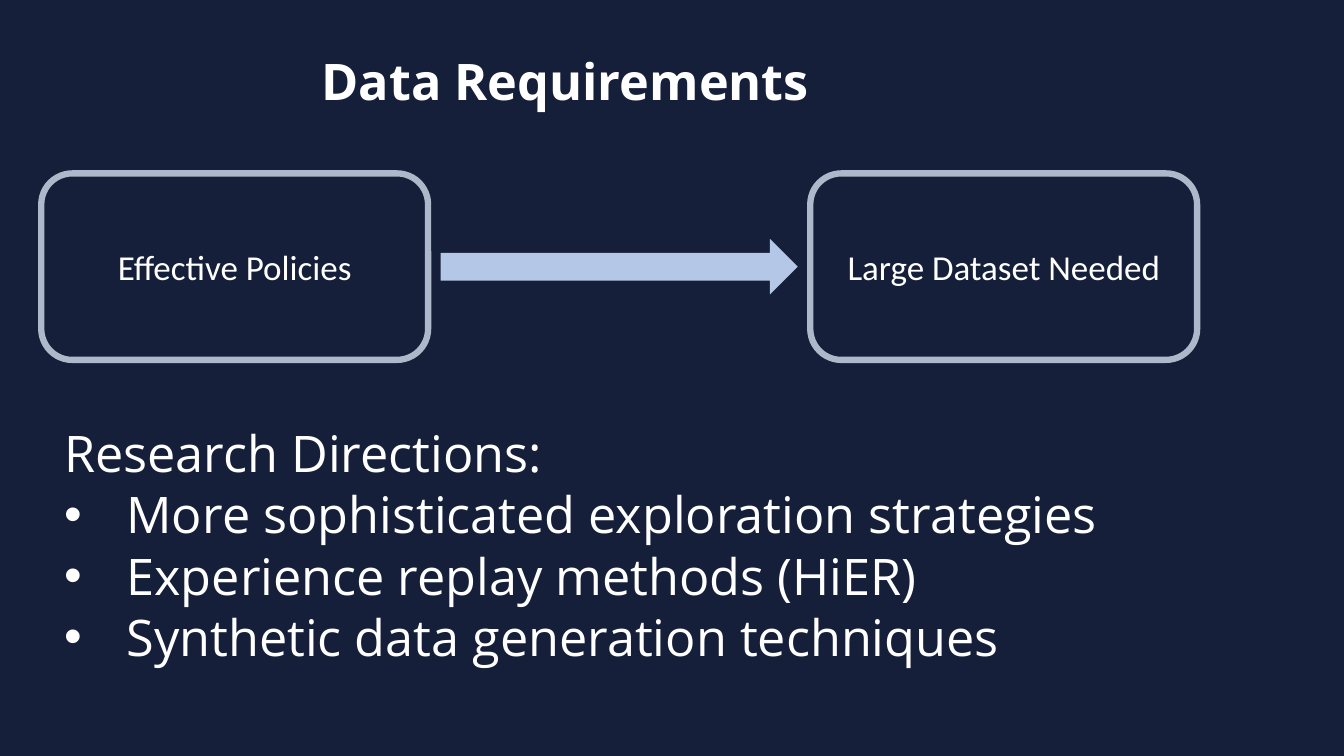
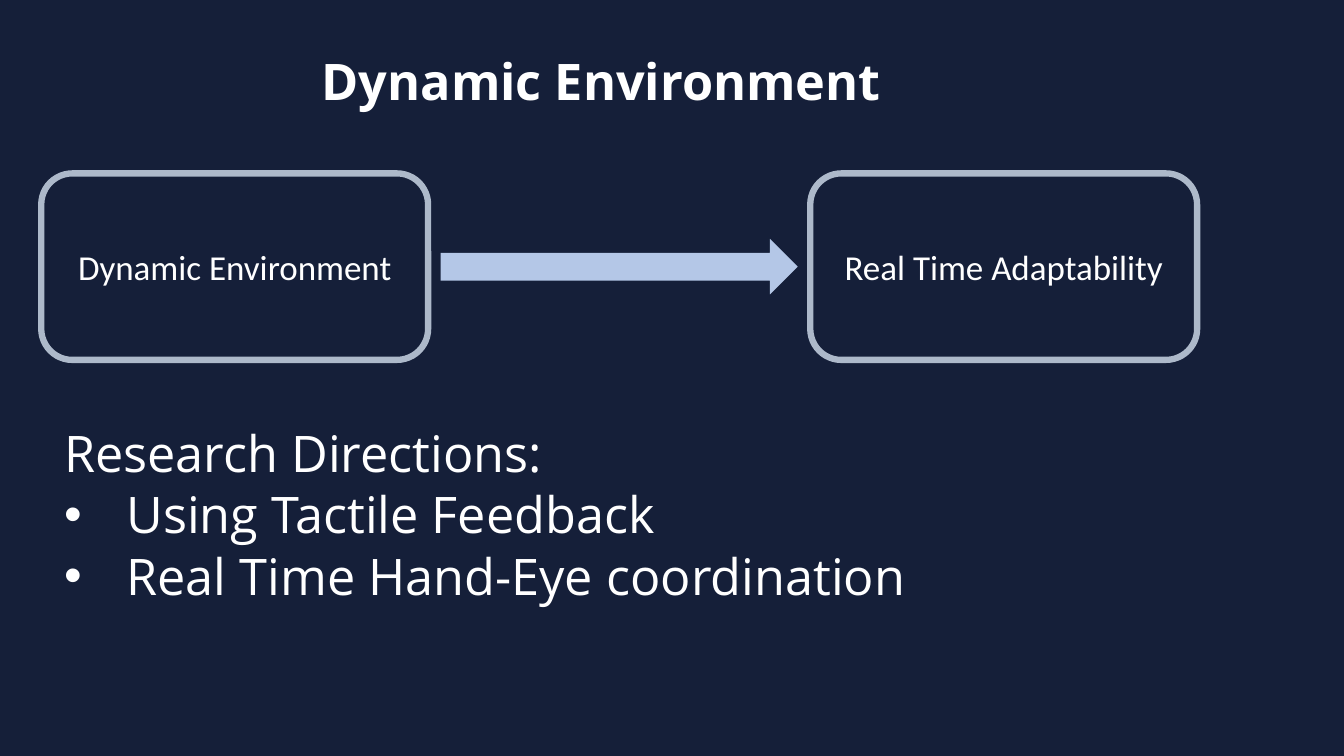
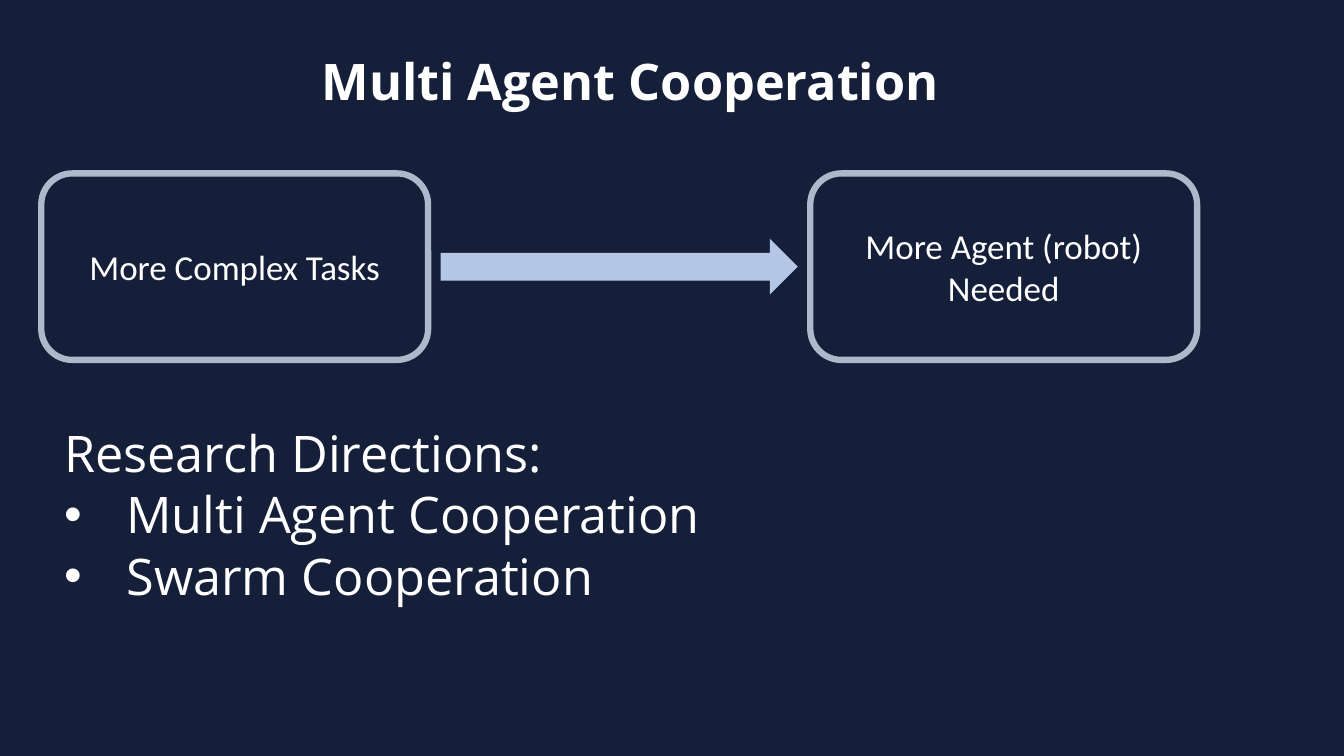
from pptx import Presentation
from pptx.dml.color import RGBColor
from pptx.enum import shapes, text
from pptx.oxml.xmlchemy import OxmlElement
from pptx.util import Cm, Pt

# Shared look
NAVY, WHITE, GREY, BLUE = "151F39", "FFFFFF", "ADB9CA", "B4C7E7"
HEAD = {"name": "Open Sans", "size": Pt(36), "bold": True}
BODY = {"name": "Open Sans", "size": Pt(36), "bold": False}
LABEL = {"name": "Calibri", "size": Pt(25), "bold": False}
LEFT, ALIGN = text.PP_ALIGN.LEFT, text.PP_ALIGN.CENTER
MIDDLE = text.MSO_ANCHOR.MIDDLE

# Shared layout, in centimetres
BOX_X, BOX_Y, BOX_W, BOX_H = (1.04, 20.42), 4.37, 9.75, 4.7
ARROW_W, ARROW_H = 9, 1.4
LINE_H, INDENT = 1.84, 1.57

TOPICS = [
    ("Data Requirements",
     ("Effective Policies", "Large Dataset Needed"),
     ["More sophisticated exploration strategies",
      "Experience replay methods (HiER)",
      "Synthetic data generation techniques"]),
    ("Dynamic Environment",
     ("Dynamic Environment", "Real Time Adaptability"),
     ["Using Tactile Feedback",
      "Real Time Hand-Eye coordination"]),
    ("Multi Agent Cooperation",
     ("More Complex Tasks", "More Agent (robot) Needed"),
     ["Multi Agent Cooperation",
      "Swarm Cooperation"]),
]


def paint(form, color):
    """Give a fill a solid colour."""
    form.solid()
    form.fore_color.rgb = RGBColor.from_string(color)


def style(item, values):
    """Set attributes from a dict."""
    for key, value in values.items():
        setattr(item, key, value)


def write(para, words, font, **form):
    """Put one formatted run in a paragraph."""
    run = para.add_run()
    run.text = words
    style(run.font, font)
    paint(run.font.fill, WHITE)
    style(para, form)


def add_title(slide, words):
    title = slide.shapes.title
    style(title, {"left": Cm(7.85), "top": Cm(1.35),
                  "width": Cm(25.17), "height": Cm(1.55)})
    style(title.text_frame, {"vertical_anchor": MIDDLE, "word_wrap": True,
                             "auto_size": text.MSO_AUTO_SIZE.NONE})
    write(title.text_frame.paragraphs[0], words, HEAD,
          alignment=LEFT, line_spacing=0.9)


def add_form(slide, kind, *place):
    """Add a preset shape without a shadow."""
    form = slide.shapes.add_shape(kind, *map(Cm, place))
    form.shadow.inherit = False
    return form


def add_box(slide, left, words):
    box = add_form(slide, shapes.MSO_SHAPE.ROUNDED_RECTANGLE,
                   left, BOX_Y, BOX_W, BOX_H)
    box.fill.background()
    paint(box.line.fill, GREY)
    box.line.width = Pt(4.5)
    style(box.text_frame, {"vertical_anchor": MIDDLE, "word_wrap": True})
    write(box.text_frame.paragraphs[0], words, LABEL, alignment=ALIGN)


def add_arrow(slide):
    """Centre the arrow in the gap between the boxes."""
    mid = (BOX_X[0] + BOX_W + BOX_X[1]) / 2
    arrow = add_form(slide, shapes.MSO_SHAPE.RIGHT_ARROW, mid - ARROW_W / 2,
                     BOX_Y + (BOX_H - ARROW_H) / 2, ARROW_W, ARROW_H)
    paint(arrow.fill, BLUE)
    arrow.line.fill.background()


def add_bullet(para):
    props = para._p.get_or_add_pPr()
    props.set("marL", str(Cm(INDENT)))
    props.set("indent", str(-Cm(INDENT)))
    face = OxmlElement("a:buFont")
    face.set("typeface", "Arial")
    mark = OxmlElement("a:buChar")
    mark.set("char", "•")
    props.extend([face, mark])


def add_list(slide, head, items):
    lines = [head, *items]
    area = slide.shapes.add_textbox(Cm(1.37), Cm(10.77), Cm(29.21),
                                    Cm(LINE_H * len(lines)))
    frame = area.text_frame
    frame.word_wrap = True
    for row, words in enumerate(lines):
        para = frame.add_paragraph() if row else frame.paragraphs[0]
        write(para, words, BODY, line_spacing=0.83, space_before=Pt(8))
        if row:
            add_bullet(para)


def main():
    deck = Presentation()
    style(deck, {"slide_width": Cm(33.87), "slide_height": Cm(19.05)})
    paint(deck.slide_master.background.fill, NAVY)
    for title, labels, items in TOPICS:
        slide = deck.slides.add_slide(deck.slide_layouts[5])
        add_title(slide, title)
        for left, words in zip(BOX_X, labels):
            add_box(slide, left, words)
        add_arrow(slide)
        add_list(slide, "Research Directions:", items)
    deck.save("out.pptx")


if __name__ == "__main__":
    main()
